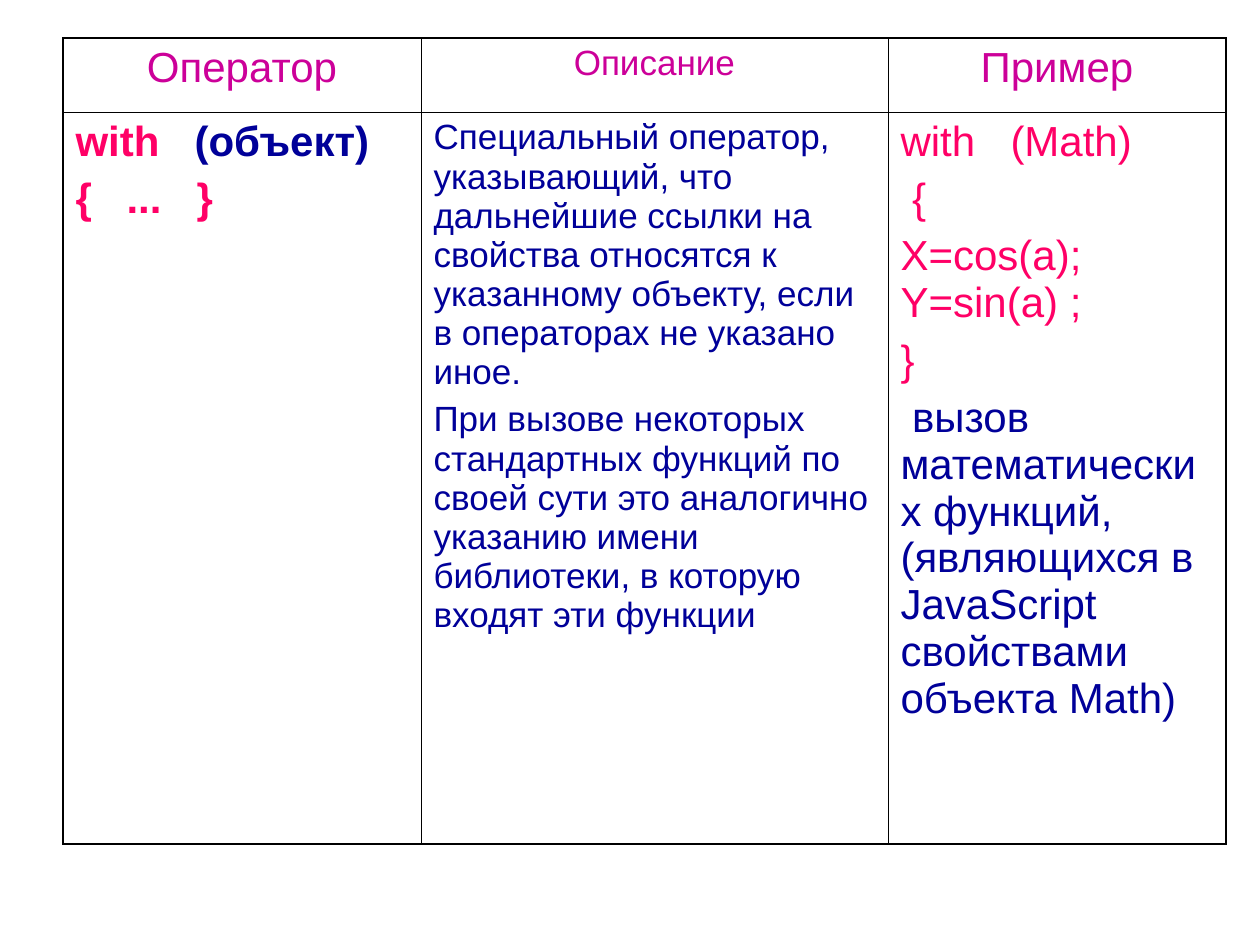
"""Build a slide with a table that explains the JavaScript with operator."""
from lxml import etree
from pptx import Presentation
from pptx.dml.color import RGBColor
from pptx.enum.text import PP_ALIGN
from pptx.oxml.ns import qn
from pptx.util import Inches, Pt

LEFT, CENTER = PP_ALIGN.LEFT, PP_ALIGN.CENTER
PURPLE = RGBColor(0xCC, 0x00, 0x99)
PINK = RGBColor(0xFF, 0x00, 0x66)
NAVY = RGBColor(0x00, 0x00, 0x99)
BLACK = RGBColor(0x00, 0x00, 0x00)
PX = Inches(1) / 126
OUTER, INNER = Pt(1.08), Pt(0.45)
COLUMN_WIDTHS = [358, 467, 338]
ROW_HEIGHTS = [74, 732]


def px(length):
    return round(length * PX)


def write(para, *spans, size=24, bold=False, align=LEFT, tabs=()):
    """Fill a paragraph with (text, color) spans and set its tab stops."""
    para.alignment = align
    para.space_before = Pt(size // 4)
    if tabs:
        stops = etree.SubElement(para._p.get_or_add_pPr(), qn("a:tabLst"))
        for stop in tabs:
            etree.SubElement(stops, qn("a:tab"), pos=str(px(stop)), algn="l")
    for text, color in spans:
        span = para.add_run()
        span.text = text
        span.font.name = "Arial"
        span.font.size = Pt(size)
        span.font.bold = bold
        span.font.color.rgb = color


deck = Presentation()
deck.slide_width, deck.slide_height = px(1260), px(945)
page = deck.slides.add_slide(deck.slide_layouts[6])

frame = page.shapes.add_table(
    len(ROW_HEIGHTS), len(COLUMN_WIDTHS),
    px(63), px(38), px(sum(COLUMN_WIDTHS)), px(sum(ROW_HEIGHTS)))
table = frame.table
table.first_row = table.horz_banding = False
for column, width in zip(table.columns, COLUMN_WIDTHS):
    column.width = px(width)
for row, height in zip(table.rows, ROW_HEIGHTS):
    row.height = px(height)

CONTENT = [
    [
        [([("Оператор", PURPLE)], {"align": CENTER})],
        [([("Описание", PURPLE)], {"align": CENTER, "size": 20})],
        [([("Пример", PURPLE)], {"align": CENTER})],
    ],
    [
        [
            ([("with\t", PINK), ("(объект)", NAVY)], {"bold": True, "tabs": [119]}),
            ([("{\t...\t}", PINK)], {"bold": True, "tabs": [51, 121]}),
        ],
        [
            ([("Специальный оператор, указывающий, что дальнейшие ссылки на "
               "свойства относятся к указанному объекту, если в операторах "
               "не указано иное.", NAVY)], {"size": 20}),
            ([("При вызове некоторых стандартных функций по своей сути это "
               "аналогично указанию имени библиотеки, в которую входят эти "
               "функции", NAVY)], {"size": 20}),
        ],
        [
            ([("with\t(Math)", PINK)], {"tabs": [110]}),
            ([(" {", PINK)], {}),
            ([("X=cos(a); Y=sin(a) ;", PINK)], {}),
            ([("}", PINK)], {}),
            ([(" ", BLACK),
              ("вызов математических функций, (являющихся в JavaScript "
               "свойствами объекта Math)", NAVY)], {}),
        ],
    ],
]

last_row, last_column = len(ROW_HEIGHTS) - 1, len(COLUMN_WIDTHS) - 1
for row_index, row_content in enumerate(CONTENT):
    for column_index, paragraphs in enumerate(row_content):
        cell = table.cell(row_index, column_index)
        properties = cell._tc.get_or_add_tcPr()
        edges = {
            "a:lnL": column_index == 0,
            "a:lnR": column_index == last_column,
            "a:lnT": row_index == 0,
            "a:lnB": row_index == last_row,
        }
        for tag, is_outer in edges.items():
            line = etree.SubElement(
                properties, qn(tag), w=str(OUTER if is_outer else INNER))
            fill = etree.SubElement(line, qn("a:solidFill"))
            etree.SubElement(fill, qn("a:srgbClr"), val=str(BLACK))
        cell.fill.background()
        box = cell.text_frame
        for index, (spans, style) in enumerate(paragraphs):
            para = box.add_paragraph() if index else box.paragraphs[0]
            write(para, *spans, **style)

deck.save("out.pptx")
